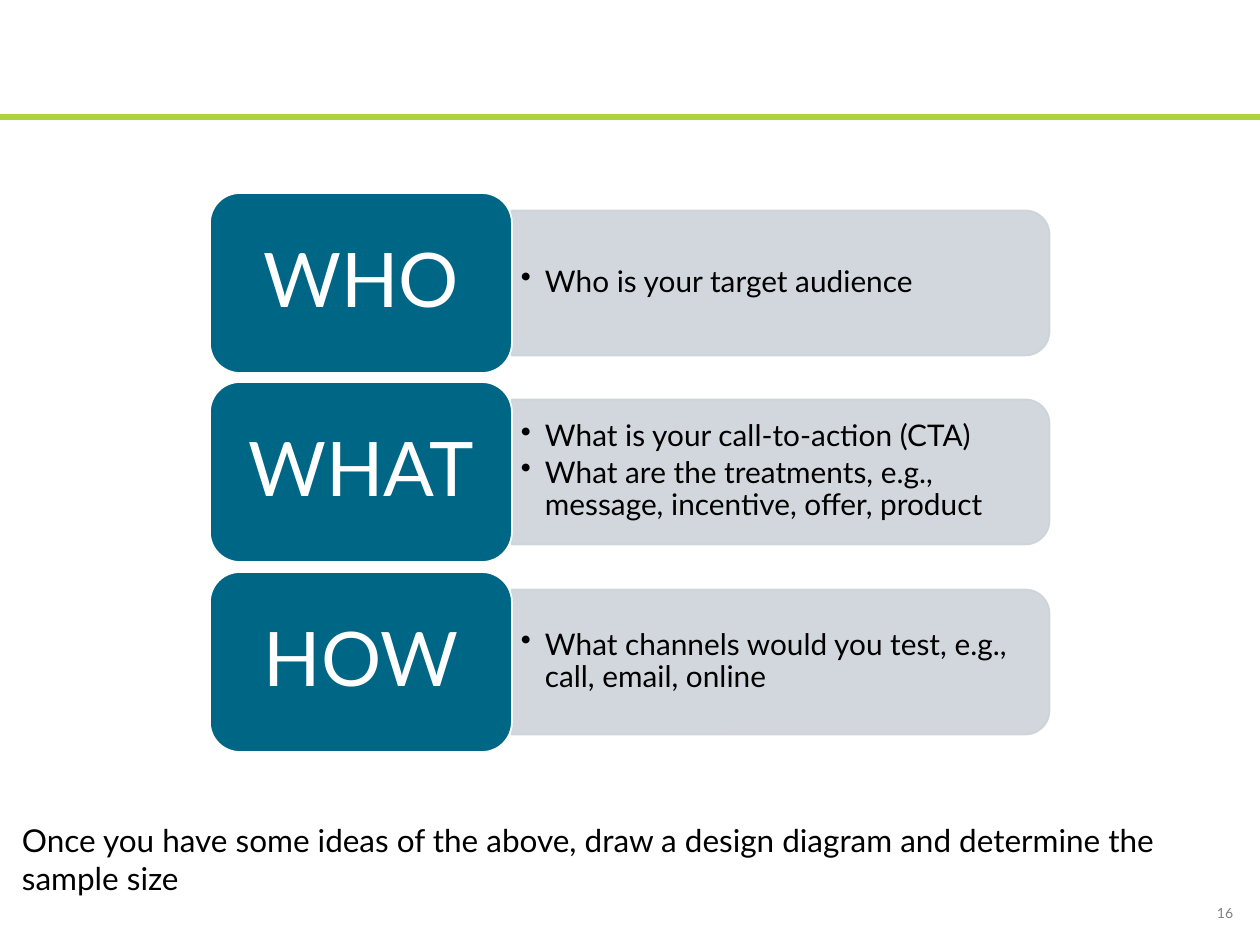
from lxml.etree import SubElement
from pptx import Presentation
from pptx.dml.color import RGBColor as Rgb
from pptx.enum.shapes import MSO_CONNECTOR as Link, MSO_SHAPE as Kind
from pptx.enum.text import MSO_ANCHOR as Anchor, PP_ALIGN as Align
from pptx.oxml.ns import qn
from pptx.util import Pt

SCALE = 914400 / 126  # EMU in one px
HUES = {"teal": "006685", "grey": "CCD3D9", "green": "AED43B",
        "white": "FFFFFF", "black": "000000", "dim": "808080"}
ROWS = [
    ("WHO", ["Who is your target audience"]),
    ("WHAT", ["What is your call-to-action (CTA)",
              "What are the treatments, e.g., message, incentive, offer, product"]),
    ("HOW", ["What channels would you test, e.g., call, email, online"]),
]


def emu(*px):
    return [round(n * SCALE) for n in px]


def hue(name):
    return Rgb.from_string(HUES[name])


class Deck:
    face = "Lato"

    def __init__(self, wide, high):
        self.file = Presentation()
        self.file.slide_width, self.file.slide_height = emu(wide, high)
        self.slide = self.file.slides.add_slide(self.file.slide_layouts[6])

    def fill_in(self, frame, lines, size, color, pad):
        frame.word_wrap = True
        side, edge = emu(*pad)
        frame.margin_left = frame.margin_right = side
        frame.margin_top = frame.margin_bottom = edge
        frame.text = "\n".join(lines)
        for para in frame.paragraphs:
            para.font.name, para.font.size = self.face, Pt(size)
            para.font.color.rgb = hue(color)
        return frame

    def text(self, box, lines, size, color, pad=(12, 6)):
        shape = self.slide.shapes.add_textbox(*emu(*box))
        return self.fill_in(shape.text_frame, lines, size, color, pad)

    def bullets(self, box, lines):
        frame = self.text(box, lines, 17, "black", (9, 5))
        frame.vertical_anchor = Anchor.MIDDLE
        indent, = emu(24)
        for para in frame.paragraphs:
            para.line_spacing, para.space_after = 0.9, Pt(2.5)
            props = para._p.get_or_add_pPr()
            props.set("marL", str(indent))
            props.set("indent", str(-indent))
            SubElement(props, qn("a:buChar"), char="•")

    def shape(self, kind, box, fill, line):
        shape = self.slide.shapes.add_shape(kind, *emu(*box))
        shape.shadow.inherit = False
        shape.fill.solid()
        shape.fill.fore_color.rgb = hue(fill)
        shape.line.color.rgb = hue(line)
        shape.line.width = Pt(1)
        return shape

    def panel(self, left, top, wide, high):
        # Turned a quarter, so that the round corners face right
        shift = (wide - high) // 2
        box = left + shift, top - shift, high, wide
        shape = self.shape(Kind.ROUND_2_SAME_RECTANGLE, box, "grey", "grey")
        shape.rotation = 90
        for color in shape._element.spPr.iter(qn("a:srgbClr")):
            SubElement(color, qn("a:alpha"), val="90000")

    def card(self, box, word):
        shape = self.shape(Kind.ROUNDED_RECTANGLE, box, "teal", "white")
        frame = self.fill_in(shape.text_frame, [word], 43, "white", (23, 11))
        frame.vertical_anchor = Anchor.MIDDLE
        para = frame.paragraphs[0]
        para.alignment, para.line_spacing = Align.CENTER, 0.9

    def rule(self, ends, color, width):
        line = self.slide.shapes.add_connector(Link.STRAIGHT, *emu(*ends))
        line.line.color.rgb = hue(color)
        line.line.width = Pt(width)
        SubElement(line._element.spPr, qn("a:effectLst"))


def main():
    deck = Deck(1260, 945)

    # Question rows: panel, bullets, card
    for i, (word, lines) in enumerate(ROWS):
        top = 193 + i * 379 // 2
        deck.panel(512, top + 17, 538, 145)
        deck.bullets((512, top + 25, 531, 129), lines)
        deck.card((210, top, 302, 180), word)

    # Closing note and page number
    deck.text((10, 815, 1250, 88), ["Once you have some ideas of the above, draw a "
              "design diagram and determine the sample size"], 18, "black")
    deck.text((1205, 898, 55, 47), ["16"], 8, "dim")

    # Header rule
    deck.rule((0, 117, 1260, 117), "green", 3)

    deck.file.save("out.pptx")


if __name__ == "__main__":
    main()
